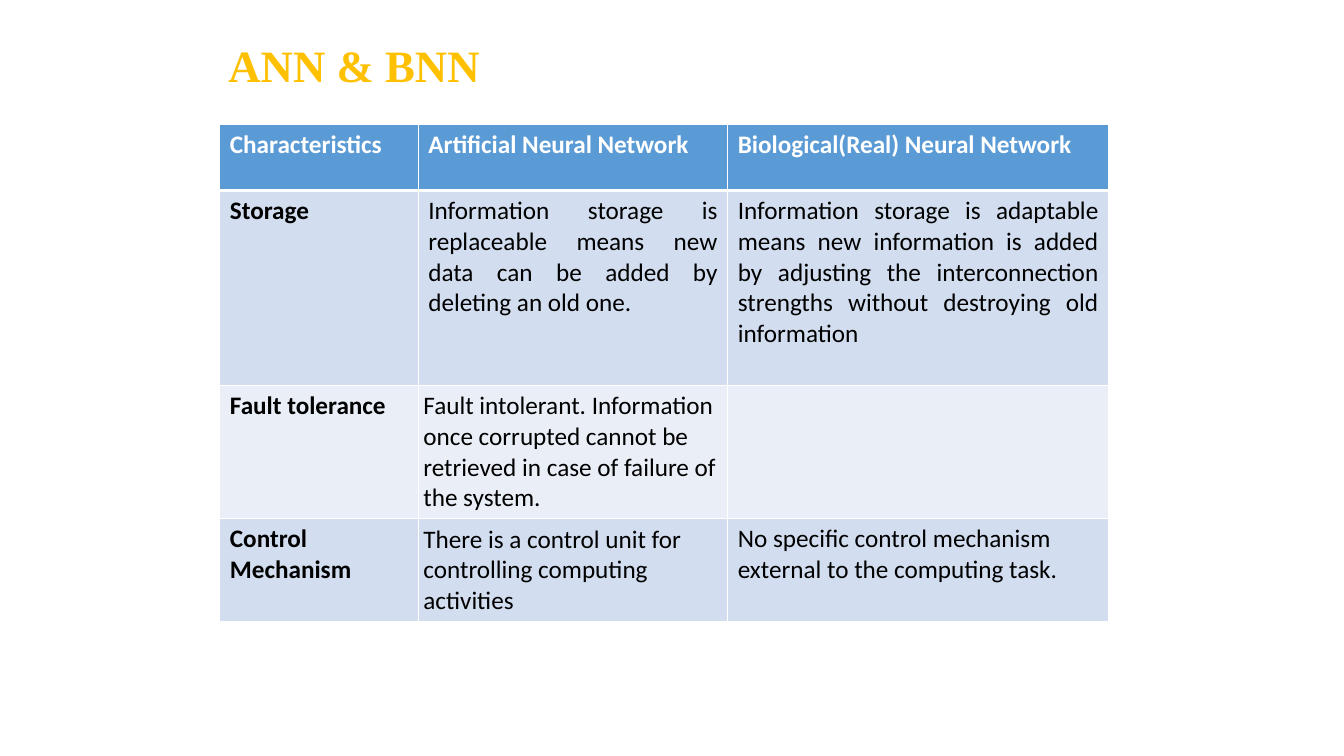
"""Build a slide comparing artificial and biological neural networks."""
from dataclasses import dataclass

from lxml import etree
from pptx import Presentation
from pptx.dml.color import RGBColor
from pptx.enum.text import MSO_ANCHOR, MSO_AUTO_SIZE, PP_ALIGN
from pptx.oxml.ns import qn
from pptx.util import Cm, Pt

LEFT, JUSTIFY = PP_ALIGN.LEFT, PP_ALIGN.JUSTIFY
TOP, MIDDLE = MSO_ANCHOR.TOP, MSO_ANCHOR.MIDDLE
NO_AUTOFIT = MSO_AUTO_SIZE.NONE

COLORS = {
    "title": "FFC000",
    "header": "5B9BD5",
    "odd": "D2DEEF",
    "even": "EAEFF7",
    "white": "FFFFFF",
    "black": "000000",
}
COL_WIDTHS = (5, 7.8, 9.6)
ROW_HEIGHTS = (1.67, 4.91, 3.36, 2.59)


@dataclass
class Entry:
    text: str
    align: PP_ALIGN = LEFT
    compact: bool = False


ROWS = (
    (
        Entry("Characteristics"),
        Entry("Artificial Neural Network"),
        Entry("Biological(Real) Neural Network"),
    ),
    (
        Entry("Storage"),
        Entry("Information storage is replaceable means new data can be added "
              "by deleting an old one.", JUSTIFY),
        Entry("Information storage is adaptable means new information is added "
              "by adjusting the interconnection strengths without destroying "
              "old information", JUSTIFY),
    ),
    (
        Entry("Fault tolerance"),
        Entry("Fault intolerant. Information once corrupted cannot be retrieved "
              "in case of failure of the system.", compact=True),
        Entry(""),
    ),
    (
        Entry("Control Mechanism"),
        Entry("There is a control unit for controlling computing activities",
              compact=True),
        Entry("No specific control mechanism external to the computing task."),
    ),
)


def add_run(p, text: str, font: str, size: float, color: str, bold: bool) -> None:
    """Add one formatted run to a paragraph."""
    r = p.add_run()
    r.text = text
    r.font.name = font
    r.font.size = Pt(size)
    r.font.bold = bold
    r.font.color.rgb = RGBColor.from_string(COLORS[color])


def set_borders(cell, bottom: float) -> None:
    """Draw white borders around a cell, with its own bottom width."""
    tc_pr = cell._tc.get_or_add_tcPr()
    widths = {"lnL": 1, "lnR": 1, "lnT": 1, "lnB": bottom}
    for i, (side, width) in enumerate(widths.items()):
        ln = etree.Element(qn(f"a:{side}"), w=str(Pt(width)))
        fill = etree.SubElement(ln, qn("a:solidFill"))
        etree.SubElement(fill, qn("a:srgbClr"), val=COLORS["white"])
        tc_pr.insert(i, ln)


def fill_cell(cell, entry: Entry, row: int, col: int) -> None:
    """Format a table cell and write its entry."""
    header = row == 0
    shade = "header" if header else "odd" if row % 2 else "even"
    cell.fill.solid()
    cell.fill.fore_color.rgb = RGBColor.from_string(COLORS[shade])
    set_borders(cell, 3 if header else 1)
    cell.vertical_anchor = MIDDLE if entry.compact else TOP
    if entry.compact:
        cell.margin_left = cell.margin_right = Cm(0.13)
        cell.margin_top = cell.margin_bottom = Cm(0.13)
    p = cell.text_frame.paragraphs[0]
    p.alignment = entry.align
    if entry.text:
        add_run(p, entry.text, "Calibri", 18,
                "white" if header else "black", header or col == 0)


def add_title(s) -> None:
    """Place and format the slide title."""
    sp = s.shapes.title
    sp.left, sp.top, sp.width, sp.height = Cm(5.5), Cm(0.13), Cm(22.86), Cm(3.17)
    tf = sp.text_frame
    tf.word_wrap = True
    tf.auto_size = NO_AUTOFIT
    tf.vertical_anchor = MIDDLE
    p = tf.paragraphs[0]
    p.alignment = LEFT
    p.line_spacing = 0.9
    add_run(p, "ANN & BNN", "Times New Roman", 32, "title", True)


def add_comparison(s) -> None:
    """Add the comparison table."""
    table = s.shapes.add_table(
        len(ROWS), len(COL_WIDTHS), Cm(5.54), Cm(3.13),
        Cm(sum(COL_WIDTHS)), Cm(sum(ROW_HEIGHTS))).table
    for column, width in zip(table.columns, COL_WIDTHS):
        column.width = Cm(width)
    for i, (entries, height) in enumerate(zip(ROWS, ROW_HEIGHTS)):
        table.rows[i].height = Cm(height)
        for j, entry in enumerate(entries):
            fill_cell(table.cell(i, j), entry, i, j)


def main() -> None:
    """Build and save the presentation."""
    prs = Presentation()
    prs.slide_width, prs.slide_height = Cm(33.87), Cm(19.05)
    s = prs.slides.add_slide(prs.slide_layouts[5])
    add_title(s)
    add_comparison(s)
    prs.save("out.pptx")


if __name__ == "__main__":
    main()
